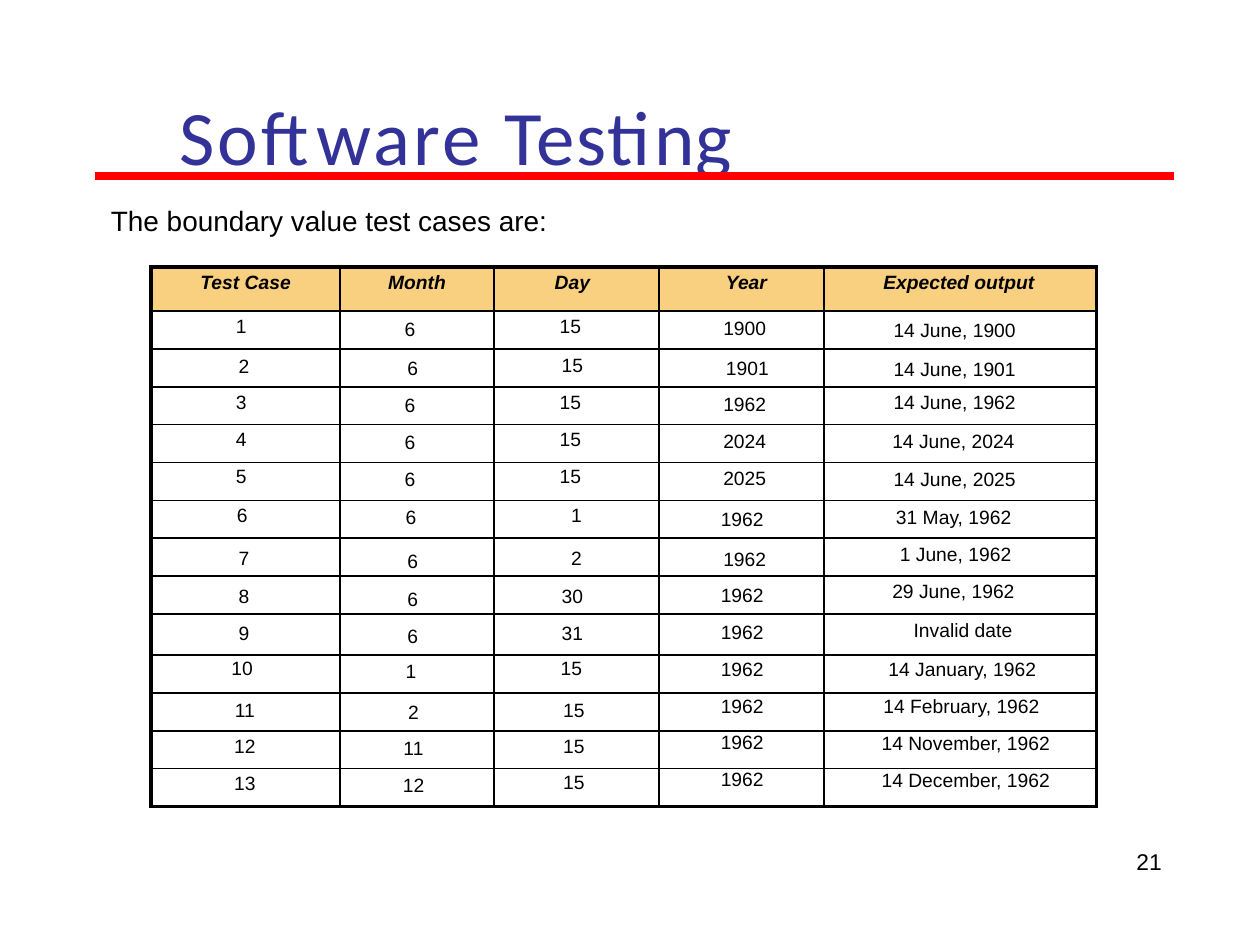
from lxml.etree import SubElement
from pptx import Presentation
from pptx.dml.color import RGBColor
from pptx.enum.shapes import MSO_CONNECTOR
from pptx.enum.text import MSO_ANCHOR, PP_ALIGN as Align
from pptx.oxml.ns import qn
from pptx.util import Pt

BLACK = RGBColor(0x00, 0x00, 0x00)
RED = RGBColor(0xFF, 0x00, 0x00)
INDIGO = RGBColor(0x32, 0x32, 0x99)
AMBER = RGBColor(0xF8, 0xD0, 0x7F)

deck = Presentation()
deck.slide_width, deck.slide_height = Pt(720), Pt(540)
page = deck.slides.add_slide(deck.slide_layouts[6])


def add_text(left, top, width, height, pieces, font_name, size, color):
    box = page.shapes.add_textbox(Pt(left), Pt(top), Pt(width), Pt(height))
    frame = box.text_frame
    frame.word_wrap = True
    frame.margin_left = frame.margin_right = frame.margin_bottom = 0
    frame.margin_top = Pt(0.9)
    para = frame.paragraphs[0]
    for piece in pieces:
        span = para.add_run()
        span.text = piece
        span.font.name, span.font.size = font_name, Pt(size)
        span.font.color.rgb = color
    return frame


def add_border(cell, side, width):
    """Draw one cell edge; sides must be added in the order L, R, T, B."""
    line = SubElement(cell._tc.get_or_add_tcPr(), qn(f"a:ln{side}"), w=str(Pt(width)))
    fill = SubElement(line, qn("a:solidFill"))
    SubElement(fill, qn("a:srgbClr"), val=str(BLACK))


# Title, rule and lead-in
title = add_text(50.4, 49.7, 420.5, 54, ["Software ", "Testing"], "Calibri", 44, INDIGO)
title.vertical_anchor = MSO_ANCHOR.MIDDLE
title.paragraphs[0].alignment = Align.CENTER
for span, spacing in zip(title.paragraphs[0].runs, ("170", "90")):
    span.font._element.set("spc", spacing)

rule = page.shapes.add_connector(MSO_CONNECTOR.STRAIGHT, Pt(54.5), Pt(100.6), Pt(671), Pt(100.6))
rule.line.color.rgb = RED
rule.line.width = Pt(4.5)
SubElement(rule._element.spPr, qn("a:effectLst"))

add_text(63.4, 115.2, 257, 20.2, ["The boundary value test cases are:"], "Arial", 16, BLACK)

number = add_text(649.4, 486.7, 18, 13.2, ["21"], "Arial", 13, BLACK)
number.margin_top = 0
number.paragraphs[0].line_spacing = Pt(13.2)

# Each column: width, alignment, texts, top margins, side indents
COLUMNS = [
    (108, Align.CENTER,
     ["Test Case"] + [str(case) for case in range(1, 14)],
     [0, 3, 3.8, 3, 2.6, 2.1, 2.7, 5.8, 5.8, 5.3, 1.9, 4, 2.8, 2.4],
     [0, 5, 2, 5, 5, 5, 4, 2, 2, 2, 4, 1, 1, 1]),
    (87.8, Align.CENTER,
     ["Month"] + ["6"] * 9 + ["1", "2", "11", "12"],
     [0, 4.4, 5.2, 4.5, 4, 3.5, 4, 7.2, 7.2, 6.8, 3.2, 5.3, 4.2, 3.6],
     [0, 8, 5, 8, 8, 8, 7, 5, 5, 5, 7, 4, 4, 4]),
    (94.4, Align.RIGHT,
     ["Day"] + ["15"] * 5 + ["1", "2", "30", "31"] + ["15"] * 4,
     [0, 3, 3.6, 3, 2.5, 2, 2.6, 5.7, 5.7, 5.2, 1.8, 3.9, 2.7, 2.2],
     [39.4, 44.6, 43.4, 44.6, 44.6, 44.6, 0, 0, 43.4, 43.4, 44, 42.5, 42.5, 42.5]),
    (94.4, Align.LEFT,
     ["Year", "1900", "1901", "1962", "2024", "2025"] + ["1962"] * 8,
     [0, 4.2, 5, 4.2, 3.8, 3.3, 5.2, 6, 5.2, 4.8, 2, 1.5, 0.9, 0.4],
     [38.2, 36.7, 38.2, 36.7, 36.7, 36.7, 35.3, 36.7] + [35.3] * 6),
    (155.5, Align.LEFT,
     ["Expected output", "14 June, 1900", "14 June, 1901", "14 June, 1962",
      "14 June, 2024", "14 June, 2025", "31 May, 1962", "1 June, 1962",
      "29 June, 1962", "Invalid date", "14 January, 1962", "14 February, 1962",
      "14 November, 1962", "14 December, 1962"],
     [0, 5.2, 6, 3.2, 3.9, 3.5, 3.9, 3.3, 2.7, 3.6, 2, 2, 1.2, 0.8],
     [33.8, 39.6, 39.6, 39.6, 38.9, 39.6, 41, 43.2, 38.9, 51.1, 36.7, 33.8, 26.4, 26.4]),
]
OTHER_ALIGNMENTS = {(6, 2): Align.CENTER, (7, 2): Align.CENTER,
                    (12, 4): Align.RIGHT, (13, 4): Align.RIGHT}
ROW_HEIGHTS = [25.2] + [21.65] * 8 + [23.6] + [21.65] * 4
LAST_ROW, LAST_COLUMN = len(ROW_HEIGHTS) - 1, len(COLUMNS) - 1

table = page.shapes.add_table(len(ROW_HEIGHTS), len(COLUMNS), Pt(86.4), Pt(152.6),
                              Pt(540.1), Pt(sum(ROW_HEIGHTS))).table
table.first_row = table.horz_banding = False
for row, height in zip(table.rows, ROW_HEIGHTS):
    row.height = Pt(height)

for col, (width, column_alignment, texts, tops, indents) in enumerate(COLUMNS):
    table.columns[col].width = Pt(width)
    for row, (text, top, indent) in enumerate(zip(texts, tops, indents)):
        cell = table.cell(row, col)
        outer_edges = {"L": col == 0, "R": col == LAST_COLUMN,
                       "T": row == 0, "B": row == LAST_ROW}
        for side, is_outer in outer_edges.items():
            add_border(cell, side, 2.25 if is_outer else 1)
        cell.margin_left = cell.margin_right = cell.margin_bottom = 0
        cell.margin_top = Pt(top)

        para = cell.text_frame.paragraphs[0]
        para.text = text
        para.alignment = OTHER_ALIGNMENTS.get((row, col), column_alignment)
        indent_side = "marL" if para.alignment == Align.LEFT else "marR"
        para._p.get_or_add_pPr().set(indent_side, str(Pt(indent)))
        font = para.runs[0].font
        font.name, font.size = "Arial", Pt(11)
        font.color.rgb = BLACK
        font.bold = font.italic = row == 0
        if row == 0:
            para.line_spacing = Pt(15.2)
            cell.fill.solid()
            cell.fill.fore_color.rgb = AMBER
        else:
            cell.fill.background()

deck.save("out.pptx")
